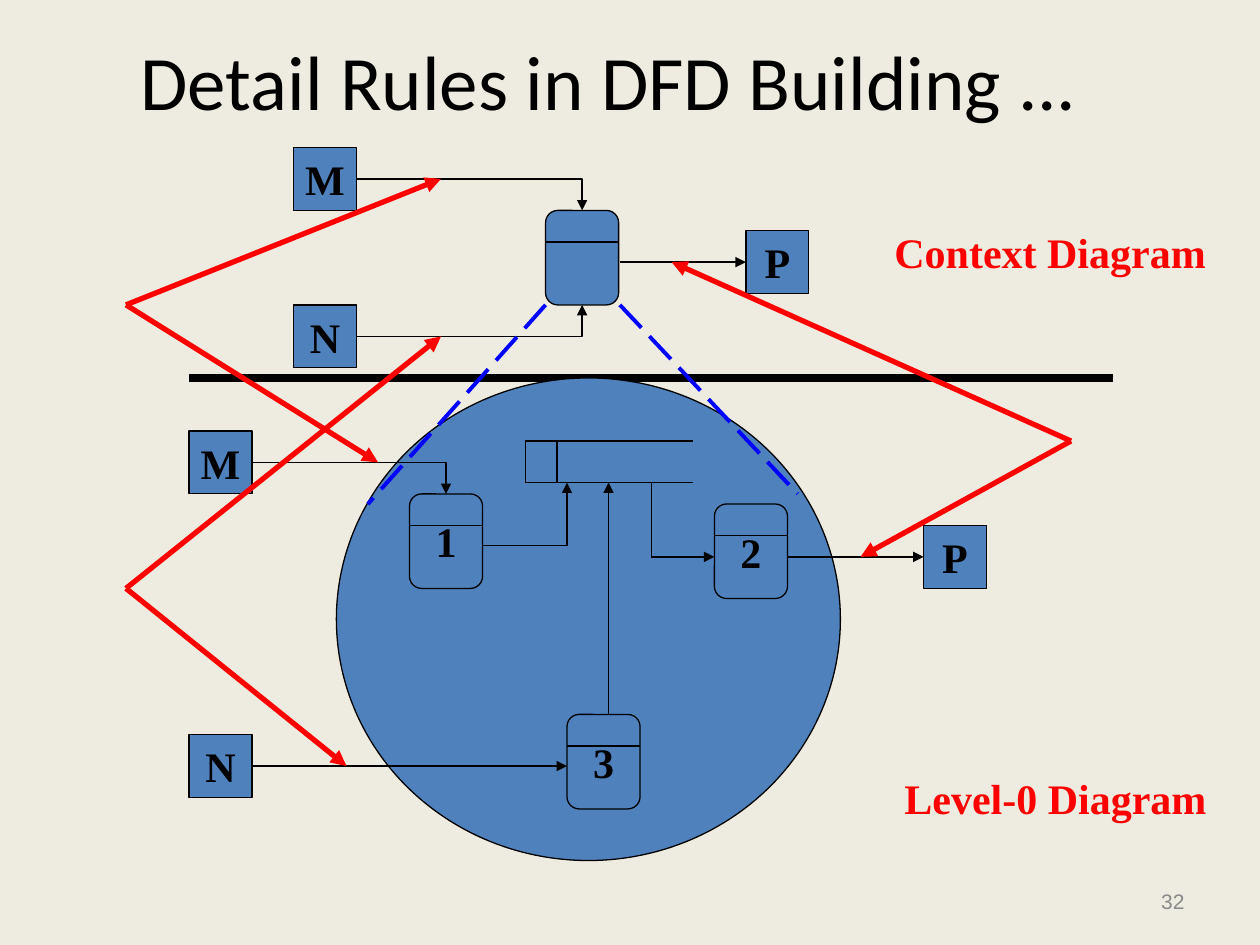
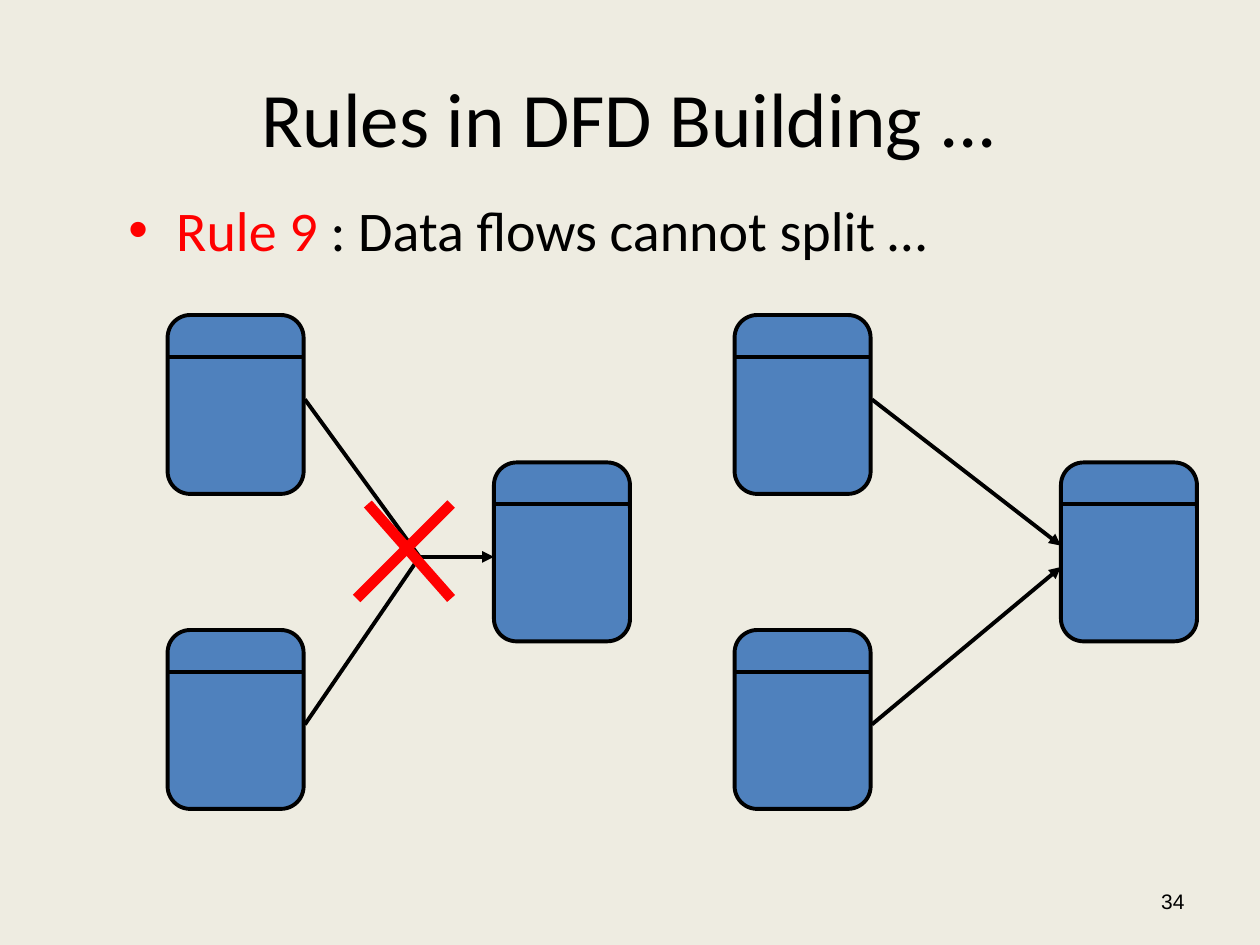
from pptx import Presentation
from pptx import util as u
from pptx.dml.color import RGBColor
from pptx.enum import dml, shapes, text
from pptx.oxml import parse_xml
from pptx.oxml.ns import nsdecls, qn

CREAM = RGBColor(0xEE, 0xEC, 0xE1)
STEEL = RGBColor(0x4F, 0x81, 0xBD)
BLACK = RGBColor(0, 0, 0)
RED = RGBColor(0xFF, 0, 0)
BLUE = RGBColor(0, 0, 0xFF)
GREY = RGBColor(0x89, 0x89, 0x89)

TITLE_FONT = {"name": "Calibri", "size": u.Pt(44)}
BODY_FONT = {"name": "Calibri", "size": u.Pt(32)}
LABEL_FONT = {"name": "Times New Roman", "size": u.Pt(24), "bold": True}
NUMBER_FONT = {"name": "Arial", "size": u.Pt(12)}
NUMBER_BOX = (7.17, 6.95, 2.33, 0.4)

TOP, LEFT, BOTTOM, RIGHT = range(4)

LEVELS_TITLE = ("Detail Rules in DFD Building ...", (0.92, 0.17, 7.83, 0.92))
LEVELS_NUMBER = ("32", GREY)
ENTITY_SIZE = 0.5
ENTITIES = {
    "context M": (2.33, 1.17),
    "context N": (2.33, 2.42),
    "context P": (5.92, 1.83),
    "level M": (1.5, 3.42),
    "level N": (1.5, 5.83),
    "level P": (7.33, 4.17),
}
SMALL_PROCESS = {"size": (0.58, 0.75), "header": 0.25, "weight": 0.75}
NUMBERED_PROCESSES = {"": (4.33, 1.67), "1": (3.25, 3.92), "2": (5.67, 4), "3": (4.5, 5.67)}
LEVEL_BAR = [((1.5, 3), (8.83, 3))]
LEVEL_CIRCLE = (2.67, 3, 4, 3.83)
BENT_FLOWS = [
    (("context M", RIGHT), ("", TOP)),
    (("context N", RIGHT), ("", BOTTOM)),
    (("level M", RIGHT), ("1", TOP)),
]
STRAIGHT_FLOWS = [
    ((4.92, 2.08), ("context P", LEFT)),
    ((6.25, 4.42), ("level P", LEFT)),
    (("level N", RIGHT), (4.5, 6.08)),
    ((4.5, 4.33), (4.5, 3.83)),
    ((4.83, 5.67), (4.83, 3.83)),
    ((5.17, 4.42), (5.67, 4.42)),
]
FLOW_STEMS = [((3.83, 4.33), (4.5, 4.33)), ((5.17, 3.83), (5.17, 4.42))]
STORE_LEFT, STORE_RIGHT, STORE_TOP, STORE_BOTTOM = 4.17, 5.5, 3.5, 3.83
STORE_LINES = [((STORE_LEFT, y), (STORE_RIGHT, y)) for y in (STORE_TOP, STORE_BOTTOM)] + [
    ((x, STORE_TOP), (x, STORE_BOTTOM)) for x in (STORE_LEFT, 4.42)
]
LEVEL_NAMES = [
    ("Context Diagram", (7, 1.75, 2.83, 0.5)),
    ("Level-0 Diagram", (7.08, 6.08, 2.75, 0.5)),
]
ZOOM_LINES = [((4.33, 2.42), (2.92, 4)), ((4.92, 2.42), (6.33, 3.92))]
MATCHES = {
    (1, 2.42): [(3.5, 1.42), (3, 3.67)],
    (1, 4.67): [(3.5, 2.67), (2.75, 6.08)],
    (8.5, 3.5): [(5.33, 2.08), (6.83, 4.42)],
}

SPLIT_TITLE = ("Rules in DFD Building ...", (0.5, 0.3, 9, 1.25))
SPLIT_NUMBER = ("34", BLACK)
RULE = [("Rule 9", RED), (" : Data flows cannot split …", BLACK)]
RULE_BOX = (0.92, 1.5, 8.42, 0.83)
LARGE_PROCESS = {"size": (1.08, 1.42), "header": 0.33, "weight": 2.25}
GROUP_LEFTS = (1.33, 5.83)
GROUP_PROCESSES = [(0, 2.5), (0, 5), (2.59, 3.67)]
JOINED_STEMS = [((2.42, 3.17), (3.33, 4.42)), ((2.42, 5.75), (3.33, 4.42))]
JOINED_ARROW = [((3.33, 4.42), (3.92, 4.42))]
CROSS = [((2.92, 4), (3.58, 4.75)), ((3.58, 4), (2.83, 4.75))]
SEPARATE_ARROWS = [((6.92, 3.17), (8.42, 4.33)), ((6.92, 5.75), (8.42, 4.5))]


def inches(values):
    return [u.Inches(value) for value in values]


def add_run(paragraph, content, font, color):
    run = paragraph.add_run()
    run.text = content
    for name, value in font.items():
        setattr(run.font, name, value)
    run.font.color.rgb = color


def add_text(slide, box, runs, font, alignment=text.PP_ALIGN.LEFT, anchor=text.MSO_ANCHOR.TOP):
    frame = slide.shapes.add_textbox(*inches(box)).text_frame
    frame.word_wrap = True
    frame.vertical_anchor = anchor
    paragraph = frame.paragraphs[0]
    paragraph.alignment = alignment
    for content, color in runs:
        add_run(paragraph, content, font, color)
    return paragraph


def add_node(slide, kind, box, weight=0.75, label=""):
    shape = slide.shapes.add_shape(kind, *inches(box))
    shape.shadow.inherit = False
    shape.fill.solid()
    shape.fill.fore_color.rgb = STEEL
    shape.line.color.rgb = BLACK
    shape.line.width = u.Pt(weight)
    if label:
        frame = shape.text_frame
        frame.word_wrap = False
        frame.vertical_anchor = text.MSO_ANCHOR.MIDDLE
        frame.paragraphs[0].alignment = text.PP_ALIGN.CENTER
        add_run(frame.paragraphs[0], label, LABEL_FONT, BLACK)
    return shape


def add_lines(slide, lines, color=BLACK, weight=0.75, arrow=False, dash=None, bent=False, nodes=None):
    kind = shapes.MSO_CONNECTOR.ELBOW if bent else shapes.MSO_CONNECTOR.STRAIGHT
    for ends in lines:
        points = [(0, 0) if isinstance(end[0], str) else end for end in ends]
        connector = slide.shapes.add_connector(kind, *inches(points[0] + points[1]))
        for end, connect in zip(ends, (connector.begin_connect, connector.end_connect)):
            if isinstance(end[0], str):
                connect(nodes[end[0]], end[1])
        connector.line.color.rgb = color
        connector.line.width = u.Pt(weight)
        if dash:
            connector.line.dash_style = dash
        properties = connector._element.spPr
        if bent:
            properties.find(qn("a:prstGeom")).set("prst", "bentConnector2")
        if arrow:
            properties.find(qn("a:ln")).append(parse_xml(f'<a:tailEnd {nsdecls("a")} type="triangle"/>'))
        properties.append(parse_xml(f'<a:effectLst {nsdecls("a")}/>'))


def add_process(slide, position, style, label=""):
    left, top = position
    width, height = style["size"]
    box = (left, top, width, height)
    shape = add_node(slide, shapes.MSO_SHAPE.ROUNDED_RECTANGLE, box, style["weight"], label)
    header = top + style["header"]
    add_lines(slide, [((left, header), (left + width, header))], weight=style["weight"])
    return shape


def add_slide(presentation, title, number):
    slide = presentation.slides.add_slide(presentation.slide_layouts[6])
    slide.background.fill.solid()
    slide.background.fill.fore_color.rgb = CREAM
    heading, box = title
    middle = text.MSO_ANCHOR.MIDDLE
    add_text(slide, box, [(heading, BLACK)], TITLE_FONT, text.PP_ALIGN.CENTER, middle)
    add_text(slide, NUMBER_BOX, [number], NUMBER_FONT, text.PP_ALIGN.RIGHT, middle)
    return slide


def build_levels(presentation):
    slide = add_slide(presentation, LEVELS_TITLE, LEVELS_NUMBER)
    add_lines(slide, LEVEL_BAR, weight=4.5)
    add_node(slide, shapes.MSO_SHAPE.OVAL, LEVEL_CIRCLE)
    nodes = {}
    for name, position in ENTITIES.items():
        box = position + (ENTITY_SIZE, ENTITY_SIZE)
        nodes[name] = add_node(slide, shapes.MSO_SHAPE.RECTANGLE, box, label=name[-1])
    for label, position in NUMBERED_PROCESSES.items():
        nodes[label] = add_process(slide, position, SMALL_PROCESS, label)
    add_lines(slide, BENT_FLOWS, arrow=True, bent=True, nodes=nodes)
    add_lines(slide, STORE_LINES + FLOW_STEMS)
    add_lines(slide, STRAIGHT_FLOWS, arrow=True, nodes=nodes)
    for name, box in LEVEL_NAMES:
        add_text(slide, box, [(name, RED)], LABEL_FONT).space_before = u.Pt(15)
    add_lines(slide, ZOOM_LINES, BLUE, 2.25, dash=dml.MSO_LINE.LONG_DASH)
    for start, targets in MATCHES.items():
        add_lines(slide, [(start, target) for target in targets], RED, 3, arrow=True)


def build_split(presentation):
    slide = add_slide(presentation, SPLIT_TITLE, SPLIT_NUMBER)
    paragraph = add_text(slide, RULE_BOX, RULE, BODY_FONT)
    paragraph.space_before = u.Pt(8)
    properties = paragraph._p.get_or_add_pPr()
    indent = u.Inches(0.38)
    properties.set("marL", str(indent))
    properties.set("indent", str(-indent))
    for bullet in (
        f'<a:buClr {nsdecls("a")}><a:srgbClr val="{RED}"/></a:buClr>',
        f'<a:buFont {nsdecls("a")} typeface="Arial"/>',
        f'<a:buChar {nsdecls("a")} char="•"/>',
    ):
        properties.append(parse_xml(bullet))
    for group_left in GROUP_LEFTS:
        for offset, top in GROUP_PROCESSES:
            add_process(slide, (group_left + offset, top), LARGE_PROCESS)
    add_lines(slide, JOINED_STEMS, weight=2.25)
    add_lines(slide, JOINED_ARROW + SEPARATE_ARROWS, weight=2.25, arrow=True)
    add_lines(slide, CROSS, RED, 6)


def main():
    presentation = Presentation()
    presentation.slide_width = u.Inches(10)
    presentation.slide_height = u.Inches(7.5)
    build_levels(presentation)
    build_split(presentation)
    presentation.save("out.pptx")


if __name__ == "__main__":
    main()
